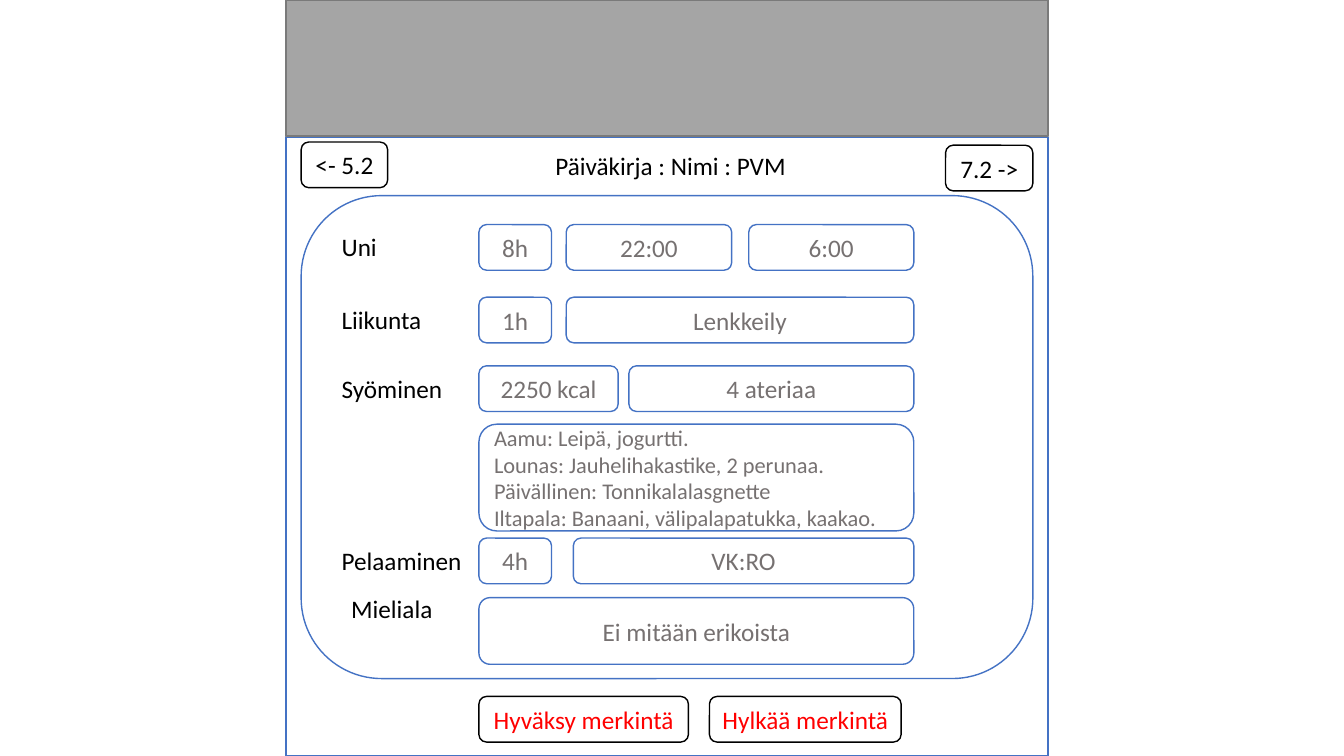
from pptx import Presentation
from pptx.dml.color import RGBColor
from pptx.enum.shapes import MSO_SHAPE as Shape
from pptx.enum.text import MSO_ANCHOR as Anchor, MSO_AUTO_SIZE as AutoSize, PP_ALIGN as Align
from pptx.util import Cm, Pt

COLORS = {"white": "FFFFFF", "black": "000000", "blue": "4472C4", "gray": "A5A5A5",
          "edge": "7A7A7A", "entry": "767171", "red": "FF0000"}

# Content: lengths in cm
HEADING = "Päiväkirja : Nimi : PVM"
LEFT, RIGHT, ROW_H = 12.07, 23.03, 1.15
SHORT = LEFT + 1.83
MEALS = ["Aamu: Leipä, jogurtti.", "Lounas: Jauhelihakastike, 2 perunaa.",
         "Päivällinen: Tonnikalalasgnette", "Iltapala: Banaani, välipalapatukka, kaakao."]
# Label, label offset (x, y), row top, row height, fields (text, left, right)
ROWS = [
    ("Uni", (0, 0.05), 5.66, ROW_H, [("8h", LEFT, SHORT), ("22:00", 14.27, 18.44), ("6:00", 18.87, RIGHT)]),
    ("Liikunta", (0, 0.05), 7.49, ROW_H, [("1h", LEFT, SHORT), ("Lenkkeily", 14.27, RIGHT)]),
    ("Syöminen", (0, 0.05), 9.22, ROW_H, [("2250 kcal", LEFT, 15.58), ("4 ateriaa", 15.85, RIGHT)]),
    ("Pelaaminen", (0, 0.05), 13.56, ROW_H, [("4h", LEFT, SHORT), ("VK:RO", 14.45, RIGHT)]),
    ("Mieliala", (0.24, -0.23), 15.06, 1.68, [("Ei mitään erikoista", LEFT, RIGHT)]),
]
# Text, left, top, width, text colour
BUTTONS = [
    ("<- 5.2", 7.59, 3.58, 2.18, "black"),
    ("7.2 ->", 23.83, 3.66, 2.2, "black"),
    ("Hyväksy merkintä", LEFT, 17.55, 5.28, "red"),
    ("Hylkää merkintä", 17.88, 17.55, 4.83, "red"),
]

deck = Presentation()
deck.slide_width, deck.slide_height = Cm(33.87), Cm(19.05)
slide = deck.slides.add_slide(deck.slide_layouts[5])


def rgb(name):
    return RGBColor.from_string(COLORS[name])


def write(shape, *lines, size=18, color="entry", align=Align.CENTER, anchor=Anchor.MIDDLE):
    frame = shape.text_frame
    frame.text = "\n".join(lines)
    frame.word_wrap, frame.auto_size, frame.vertical_anchor = True, AutoSize.NONE, anchor
    for paragraph in frame.paragraphs:
        paragraph.alignment = align
        font = paragraph.runs[0].font
        font.name, font.size, font.color.rgb = "Calibri", Pt(size), rgb(color)


def box(left, top, width, height, kind=Shape.ROUNDED_RECTANGLE, fill="white", line="blue"):
    shape = slide.shapes.add_shape(kind, Cm(left), Cm(top), Cm(width), Cm(height))
    shape.shadow.inherit = False
    shape.fill.solid()
    shape.fill.fore_color.rgb = rgb(fill)
    shape.line.color.rgb, shape.line.width = rgb(line), Pt(1)
    return shape


# Page, banner and card
page = box(7.21, 3.45, 19.2, 15.6, kind=Shape.RECTANGLE)
box(7.21, 0, 19.2, 3.43, kind=Shape.RECTANGLE, fill="gray", line="edge")
card = box(7.59, 4.93, 18.44, 12.17)

# Heading, brought in front of the page
heading = slide.shapes.title
heading.left, heading.top, heading.width, heading.height = Cm(13.5), Cm(3.66), Cm(6.8), Cm(1.02)
write(heading, HEADING, color="black")
card._element.addnext(heading._element)

# Diary rows
for label, (dx, dy), top, height, fields in ROWS:
    caption = slide.shapes.add_textbox(Cm(8.36 + dx), Cm(top + dy), Cm(3.7), Cm(1.02))
    write(caption, label, color="black", align=Align.LEFT, anchor=Anchor.TOP)
    for entry, left, right in fields:
        write(box(left, top, right - left, height), entry)

# Meals
write(box(LEFT, 10.69, RIGHT - LEFT, 2.69), *MEALS, size=16, align=Align.LEFT)

# Buttons
for text, left, top, width, color in BUTTONS:
    write(box(left, top, width, ROW_H, line="black"), text, color=color)

deck.save("out.pptx")
